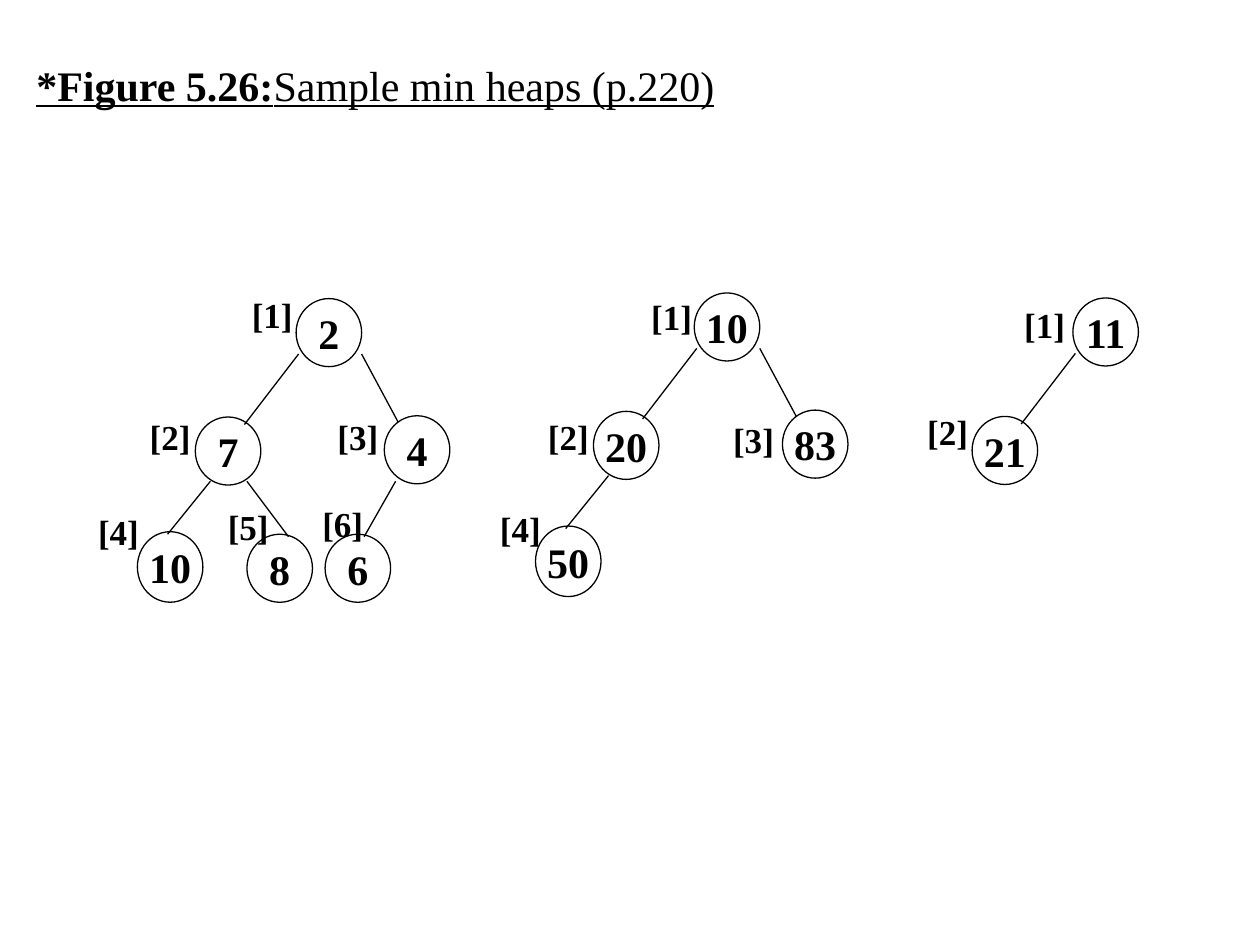
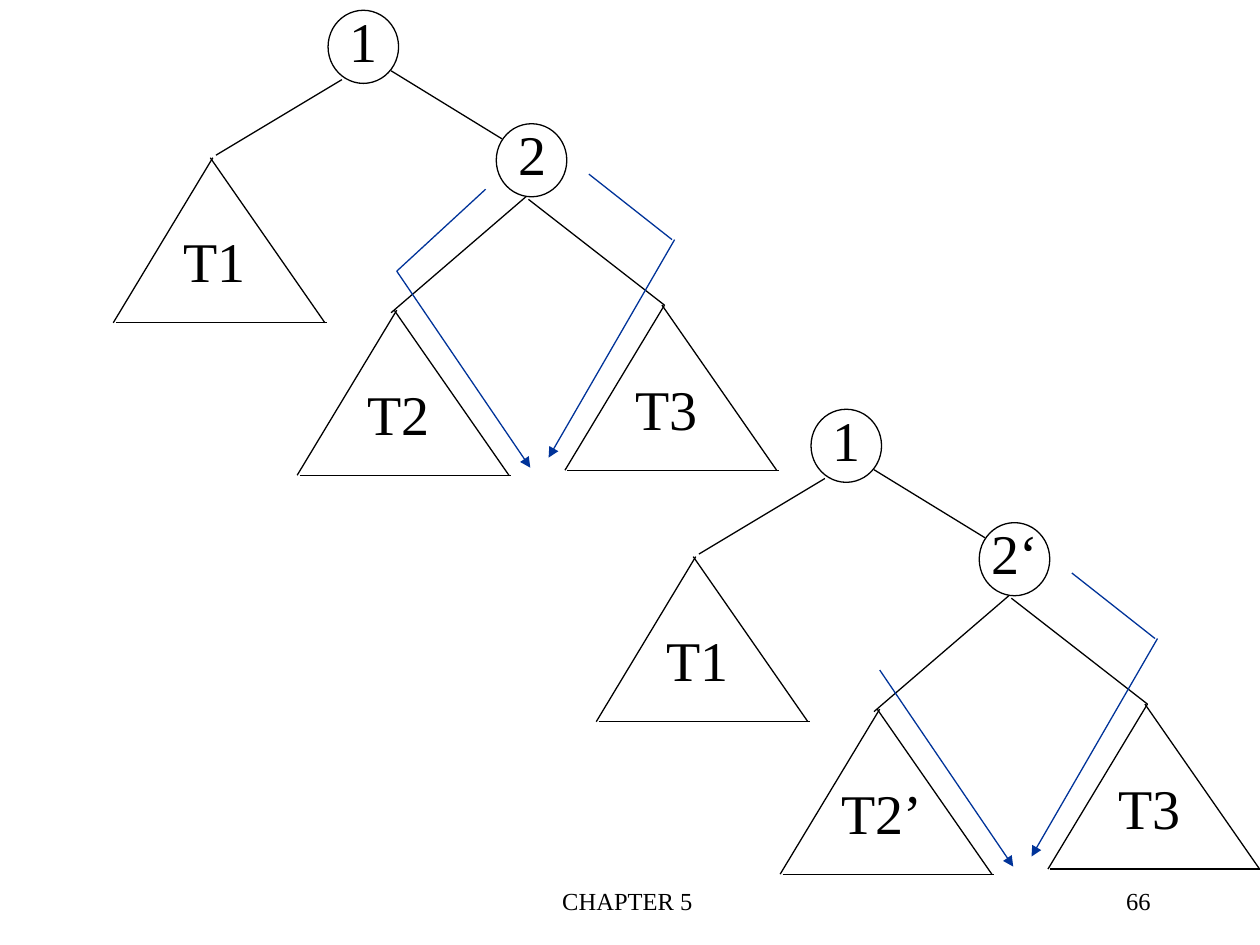
from pptx import Presentation
from pptx.dml.color import RGBColor
from pptx.enum.shapes import MSO_CONNECTOR, MSO_SHAPE
from pptx.enum.text import MSO_ANCHOR, MSO_AUTO_SIZE, PP_ALIGN
from pptx.oxml.ns import qn
from pptx.util import Inches, Pt
from lxml.etree import SubElement

BLACK = RGBColor(0, 0, 0)
BLUE = RGBColor(0, 0x33, 0x99)
FONT = "Times New Roman"
COLS, ROWS = 100, 75
CELL = Inches(10) / COLS

NODES = {1: (0, 0, 5.4), 2: (-8, 9.4, 5.4), 3: (7, 9.3, 5.4),
         4: (-12.6, 18.5, 5.6), 5: (-3.9, 18.7, 5.4), 6: (2.3, 18.7, 5.4)}
EDGES = {2: (0.2, 4.4, -4.1, 10), 3: (5.2, 4.4, 8.1, 9.8),
         4: (-6.8, 14.5, -10.2, 18.7), 5: (-3.9, 14.5, -0.6, 18.9),
         6: (7.9, 14.5, 5.4, 18.9)}
HEAPS = [
    ((23.5, 23.7),
     {1: (2, 19, 22.8), 2: (7, 10.9, 32.5), 3: (4, 25.8, 32.5),
      4: (10, 6.8, 40), 5: (8, 17.1, 39.6), 6: (6, 24.6, 39.4)}),
    ((55.1, 23.25),
     {1: (10, 50.7, 23), 2: (20, 42.5, 32.5), 3: (83, 57.2, 32.7),
      4: (50, 38.7, 39.8)}),
    ((85.15, 23.65), {1: (11, 80.3, 23.6), 2: (21, 72.6, 32.1)}),
]
WIDTHS = {"1": 4.3, "2": 4.3, "2‘": 5.8, "T2’": 8.5}


def cells(*spans):
    """Turn grid spans into slide lengths."""
    return [round(span * CELL) for span in spans]


def write(shape, *runs, size, bold=False, line=False, align=PP_ALIGN.LEFT,
          anchor=MSO_ANCHOR.TOP, wrap=False, grow=False):
    """Fill a shape with runs, each a string or a (string, bold) pair."""
    frame = shape.text_frame
    frame.word_wrap, frame.vertical_anchor = wrap, anchor
    if grow:
        frame.auto_size = MSO_AUTO_SIZE.SHAPE_TO_FIT_TEXT
    para = frame.paragraphs[0]
    para.alignment = align
    for item in runs:
        words, heavy = (item, bold) if isinstance(item, str) else item
        run = para.add_run()
        run.text = words
        font = run.font
        font.name, font.size, font.bold = FONT, Pt(size), heavy
        font.underline = line
        font.color.rgb = BLACK


def label(slide, box, *runs, **form):
    """Add a text box."""
    write(slide.shapes.add_textbox(*cells(*box)), *runs, **form)


def ring(slide, left, top, wide, high):
    """Add an unfilled circle."""
    shape = slide.shapes.add_shape(MSO_SHAPE.OVAL,
                                   *cells(left, top, wide, high))
    shape.shadow.inherit = False
    shape.fill.background()
    shape.line.color.rgb, shape.line.width = BLACK, Pt(0.75)
    return shape


def link(slide, base, ends, color=BLACK, arrow=False):
    """Draw a line whose ends are counted from a base point."""
    x, y = base
    x1, y1, x2, y2 = ends
    line = slide.shapes.add_connector(
        MSO_CONNECTOR.STRAIGHT, *cells(x + x1, y + y1, x + x2, y + y2))
    line.line.color.rgb, line.line.width = color, Pt(0.75)
    if arrow:
        SubElement(line.line._ln, qn("a:tailEnd"), type="triangle")
    SubElement(line._element.spPr, qn("a:effectLst"))


def heap(slide, root, items):
    """Draw a heap of numbered nodes."""
    for spot, (value, left, top) in items.items():
        x, y, high = NODES[spot]
        node = ring(slide, root[0] + x, root[1] + y, 5.2, high)
        write(node, str(value), size=24, bold=True, align=PP_ALIGN.CENTER,
              anchor=MSO_ANCHOR.MIDDLE)
        if spot in EDGES:
            link(slide, root, EDGES[spot])
        label(slide, (left, top, 5.3, 4.4), f"[{spot}]", size=20, bold=True,
              grow=True)


def mark(slide, mid, top, words):
    """Add a large label centred on a column."""
    wide = WIDTHS.get(words, 7)
    label(slide, (mid - wide / 2, top, wide, 6.4), words, size=32,
          align=PP_ALIGN.CENTER, grow=True)


def wedge(slide, x, y, name):
    """Draw a subtree triangle below its apex."""
    for ends in (0, 0, -7.9, 13.1), (-7.7, 13.1, 9.1, 13.1), (-0.2, 0, 8.9, 13.1):
        link(slide, (x, y), ends)
    mark(slide, x + 0.15, y + 5, name)


def tree(slide, base, second, left, full):
    """Draw a tree of two nodes, three subtrees and its blue paths."""
    x, y = base
    for name, across, down in ("1", 0, 0), (second, 13.35, 9):
        ring(slide, x + across, y + down, 5.6, 5.8)
        mark(slide, x + across + 2.85, y + down - 0.8, name)
    for ends in ((5, 4.8, 13.8, 10.2), (1.1, 5.5, -8.9, 11.5),
                 (15.7, 14.8, 5, 24), (15.9, 15, 26.7, 23.4)):
        link(slide, base, ends)
    for name, across, down in (("T1", -9.15, 11.7), (left, 5.45, 23.8),
                               ("T3", 26.7, 23.4)):
        wedge(slide, x + across, y + down, name)
    if full:
        link(slide, base, (12.5, 14.2, 5.45, 20.7), BLUE)
    link(slide, base, (5.45, 20.7, 16.05, 36.3), BLUE, True)
    link(slide, base, (20.7, 13, 27.3, 18.2), BLUE)
    link(slide, base, (27.5, 18.2, 17.5, 35.5), BLUE, True)


def main():
    """Build both slides and save them."""
    deck = Presentation()
    deck.slide_width, deck.slide_height = cells(COLS, ROWS)
    blank = deck.slide_layouts[6]

    slide = deck.slides.add_slide(blank)
    for root, items in HEAPS:
        heap(slide, root, items)
    label(slide, (1.9, 4.2, 55.9, 5), ("*Figure 5.26:", True),
          "Sample min heaps (p.220)", size=24, line=True, grow=True)

    slide = deck.slides.add_slide(blank)
    label(slide, (33.95, 69.8, 31.7, 5), "CHAPTER 5", size=14, wrap=True,
          align=PP_ALIGN.CENTER)
    label(slide, (71.5, 69.8, 20.8, 5), "66", size=14, wrap=True,
          align=PP_ALIGN.RIGHT)
    tree(slide, (26.04, 0.82), "2", "T2", True)
    tree(slide, (64.37, 32.48), "2‘", "T2’", False)
    deck.save("out.pptx")


if __name__ == "__main__":
    main()
